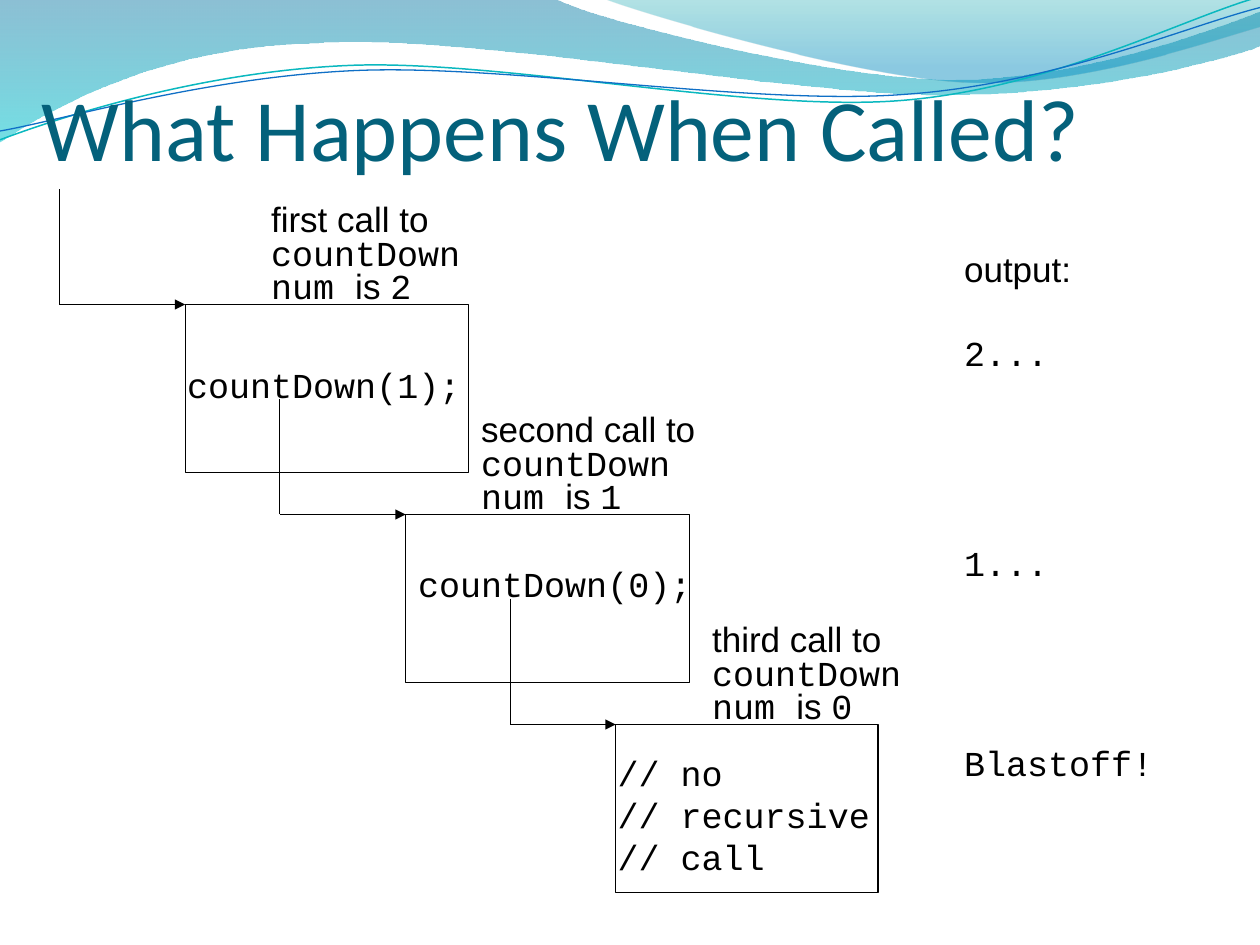
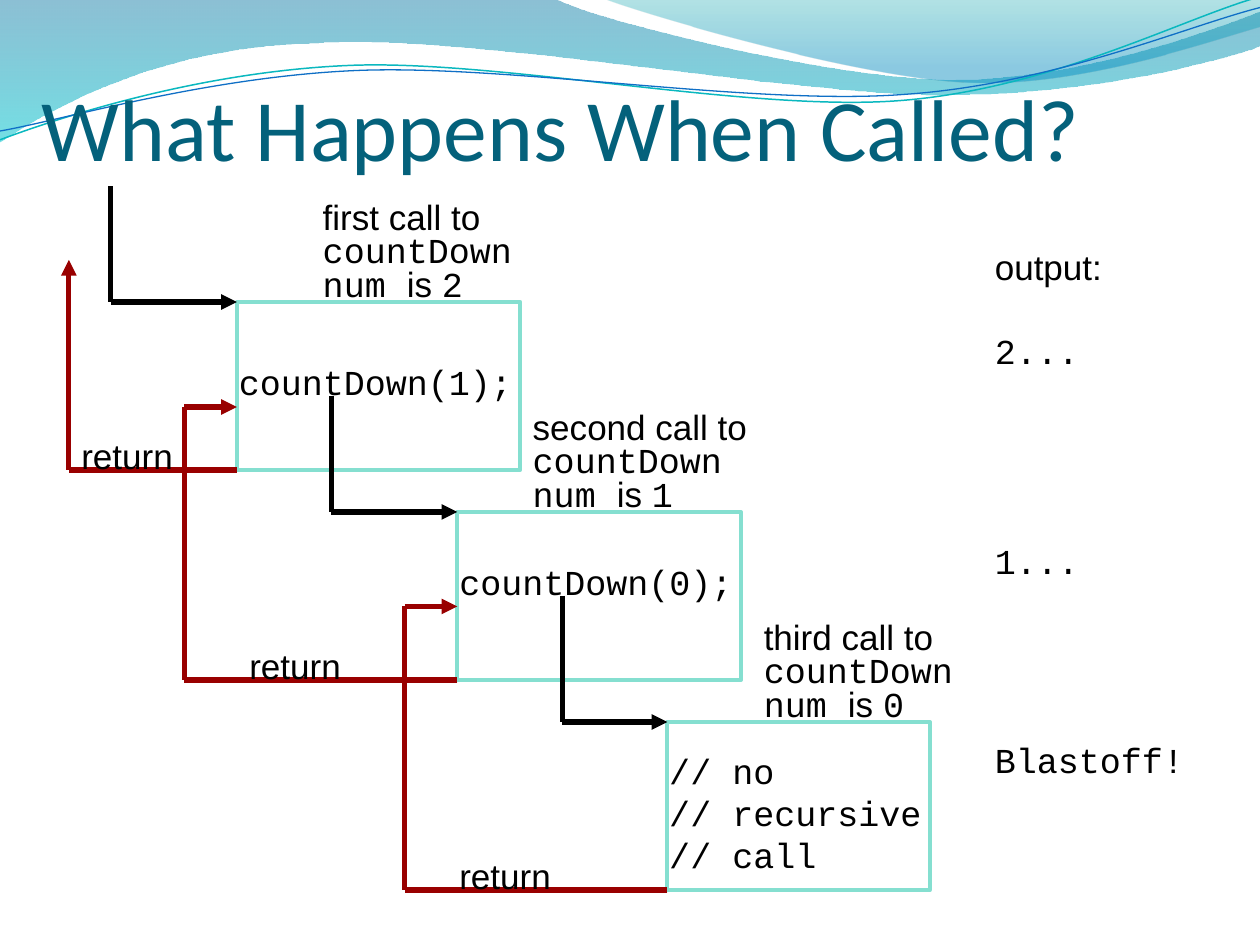
"""Build two slides that trace the recursive calls of countDown."""
from lxml.etree import SubElement
from pptx import Presentation
from pptx.dml.color import RGBColor as RGB
from pptx.enum.shapes import MSO_CONNECTOR as CONN, MSO_SHAPE as SHAPE
from pptx.enum.text import MSO_ANCHOR as ANCHOR, MSO_AUTO_SIZE as AUTO, PP_ALIGN as ALIGN
from pptx.oxml.ns import qn
from pptx.util import Inches, Pt

COLORS = {"title": "04617B", "ink": "000000", "mint": "85DFD0", "return": "990000",
          "sea": "0074A1", "aqua": "00C6CF", "teal": "00A1A9", "sky": "008BBF",
          "teal_line": "0AB8BF", "blue_line": "0F6FC6"}
SANS, MONO, HEAD = "Arial", "Courier New", "Calibri"
CELL = Inches(1) / 12
BOX_W, BOX_H, STEP = 27, 16, 20


def add_text(s, origin, cell, size, paras, line_spacing=None, gap=0):
    (left, top), (col, row), (w, h) = origin, cell, size
    tb = s.shapes.add_textbox(int(left + col * CELL), int(top + row * CELL),
                              int(w * CELL), int(h * CELL))
    tf = tb.text_frame
    tf.word_wrap = False
    tf.auto_size = AUTO.SHAPE_TO_FIT_TEXT
    for i, runs in enumerate(paras):
        p = tf.add_paragraph() if i else tf.paragraphs[0]
        p.alignment = ALIGN.LEFT
        if line_spacing:
            p.line_spacing = line_spacing
        if i and gap:
            p.space_before = Pt(gap)
        for text, font in runs:
            r = p.add_run()
            r.text = text
            r.font.name, r.font.size = font, Pt(20)
            r.font.color.rgb = RGB.from_string(COLORS["ink"])


def add_route(s, origin, cells, color, weight):
    points = [(int(origin[0] + c * CELL), int(origin[1] + r * CELL)) for c, r in cells]
    for start, end in zip(points, points[1:]):
        c = s.shapes.add_connector(CONN.STRAIGHT, *start, *end)
        c.line.color.rgb = RGB.from_string(COLORS[color])
        c.line.width = Pt(weight)
        SubElement(c.element.spPr, qn("a:effectLst"))
    SubElement(c.element.spPr.find(qn("a:ln")), qn("a:tailEnd"), type="triangle")


prs = Presentation()
prs.slide_width, prs.slide_height = Inches(10), Inches(7.5)
layout = prs.slide_layouts[5]
slides = [prs.slides.add_slide(layout) for _ in range(2)]

waves = [
    {"start": (0, 0), "stops": [(0, "sea", 45), (1, "aqua", 55)],
     "segments": [(4.4, -0.01), (4.76, 0.17, 6.64, 0.63, 7.58, 0.63),
                  (8.53, 0.63, 9.58, 0.26, 10, 0.09), (10.01, 0.36),
                  (9.83, 0.44, 8.7, 0.76, 7.46, 0.75),
                  (6.22, 0.75, 3.82, 0.28, 2.57, 0.34),
                  (1.29, 0.36, 0.46, 0.83, -0.01, 1.13)]},
    {"start": (4.79, -0.01), "stops": [(0, "teal", 30), (0.8, "sky", 45)],
     "segments": [(5.09, 0.11, 6.82, 0.62, 7.69, 0.65),
                  (8.56, 0.69, 9.61, 0.32, 10, 0.21), (10, 0)]},
    {"start": (0, 1.11), "line": ("teal_line", 0.85),
     "segments": [(0.48, 0.93, 1.58, 0.57, 2.77, 0.52),
                  (3.95, 0.47, 5.93, 0.89, 7.13, 0.8),
                  (8.33, 0.71, 9.38, 0.15, 9.98, -0.02)]},
    {"start": (0, 1.04), "line": ("blue_line", 0.75),
     "segments": [(0.47, 0.96, 1.64, 0.61, 2.83, 0.56),
                  (4.03, 0.51, 5.97, 0.84, 7.17, 0.75),
                  (8.36, 0.67, 9.41, 0.21, 10, 0.06)]},
]
for i, wave in enumerate(waves):
    builder = slides[0].shapes.build_freeform(*map(Inches, wave["start"]))
    builder.add_line_segments([tuple(map(Inches, seg[-2:])) for seg in wave["segments"]],
                              close="stops" in wave)
    sp = builder.convert_to_shape()
    for node, seg in zip(list(sp.element.iter(qn("a:lnTo"))), wave["segments"]):
        if len(seg) == 6:
            node.tag = qn("a:cubicBezTo")
            for n in (0, 2):
                pt = SubElement(node, qn("a:pt"), x=str(Inches(seg[n]) - sp.left),
                                y=str(Inches(seg[n + 1]) - sp.top))
                node.insert(n // 2, pt)
    sp.shadow.inherit = False
    if "stops" in wave:
        sp.line.fill.background()
        sp.fill.gradient()
        sp.fill.gradient_angle = 270
        for stop, (position, color, _) in zip(sp.fill.gradient_stops, wave["stops"]):
            stop.position = position
            stop.color.rgb = RGB.from_string(COLORS[color])
        for clr, (_, _, alpha) in zip(sp.element.iter(qn("a:srgbClr")), wave["stops"]):
            SubElement(clr, qn("a:alpha"), val=str(alpha * 1000))
    else:
        color, weight = wave["line"]
        sp.fill.background()
        sp.line.color.rgb = RGB.from_string(COLORS[color])
        sp.line.width = Pt(weight)
    next(sp.element.iter(qn("p:cNvPr"))).set("id", str(20 + i))
    layout.shapes.element.insert(2 + i, sp.element)

boxes = [(12, BOX_W), (33, BOX_W), (53, BOX_W - 2)]
captions = [("first", "2", 19, 20.4), ("second", "1", 39, 22.8), ("third", "0", 61, 22.4)]
calls = [[(0, 0), (0, 11), (12, 11)],
         [(21, 20), (21, 31), (33, 31)],
         [(43, 39), (43, 51), (53, 51)]]
returns = [([(53, 67), (28, 67), (28, 40), (33, 40)], (32, 63)),
           ([(33, 47), (7, 47), (7, 21), (12, 21)], (12, 43)),
           ([(12, 27), (-4, 27), (-4, 7)], (-4, 23))]
variants = [
    {"origin": (0.47, 1.5), "edge": "ink", "box_pt": 0.75, "line_pt": 0.75,
     "inner_col": 33, "output_col": 85, "returns": []},
    {"origin": (0.88, 1.48), "edge": "mint", "box_pt": 2.25, "line_pt": 3,
     "inner_col": 32, "output_col": 83, "returns": returns},
]

for s, v in zip(slides, variants):
    title = s.shapes.title
    title.left, title.top, title.width, title.height = map(Inches, (0.33, 0.17, 8.5, 1.25))
    tf = title.text_frame
    tf.auto_size = AUTO.NONE
    tf.vertical_anchor = ANCHOR.BOTTOM
    tf.margin_left = tf.margin_right = tf.margin_bottom = 0
    p = tf.paragraphs[0]
    p.alignment = ALIGN.LEFT
    r = p.add_run()
    r.text = "What Happens When Called?"
    r.font.name, r.font.size = HEAD, Pt(50)
    r.font.color.rgb = RGB.from_string(COLORS["title"])

    origin = tuple(Inches(n) for n in v["origin"])
    for i, (col, width) in enumerate(boxes):
        box = s.shapes.add_shape(SHAPE.RECTANGLE, int(origin[0] + col * CELL),
                                 int(origin[1] + (11 + i * STEP) * CELL),
                                 int(width * CELL), int(BOX_H * CELL))
        box.shadow.inherit = False
        box.fill.background()
        box.line.color.rgb = RGB.from_string(COLORS[v["edge"]])
        box.line.width = Pt(v["box_pt"])

    for i, (ordinal, num, col, width) in enumerate(captions):
        add_text(s, origin, (col, 1 + i * STEP), (width, 10.8),
                 [[(f"{ordinal} call to", SANS)], [("countDown", MONO)],
                  [("num ", MONO), ("is ", SANS), (num, MONO)]], line_spacing=0.8)

    add_text(s, origin, (11, 16), (28.6, 5.2), [[("countDown(1);", MONO)]])
    add_text(s, origin, (v["inner_col"], 35), (28.6, 5.2), [[("countDown(0);", MONO)]])
    add_text(s, origin, (52, 53), (26.6, 13.2),
             [[(line, MONO)] for line in ("// no", "// recursive", "// call")])

    out = v["output_col"]
    add_text(s, origin, (out, 5), (12.6, 13.2),
             [[("output:", SANS)], [("2...", MONO)]], gap=24)
    add_text(s, origin, (out, 33), (10.4, 5.2), [[("1...", MONO)]])
    add_text(s, origin, (out, 52), (20.6, 5.2), [[("Blastoff!", MONO)]])

    for route in calls:
        add_route(s, origin, route, "ink", v["line_pt"])
    for route, label_cell in v["returns"]:
        add_route(s, origin, route, "return", v["line_pt"])
        add_text(s, origin, label_cell, (11.2, 5.2), [[("return", SANS)]])

prs.save("out.pptx")
